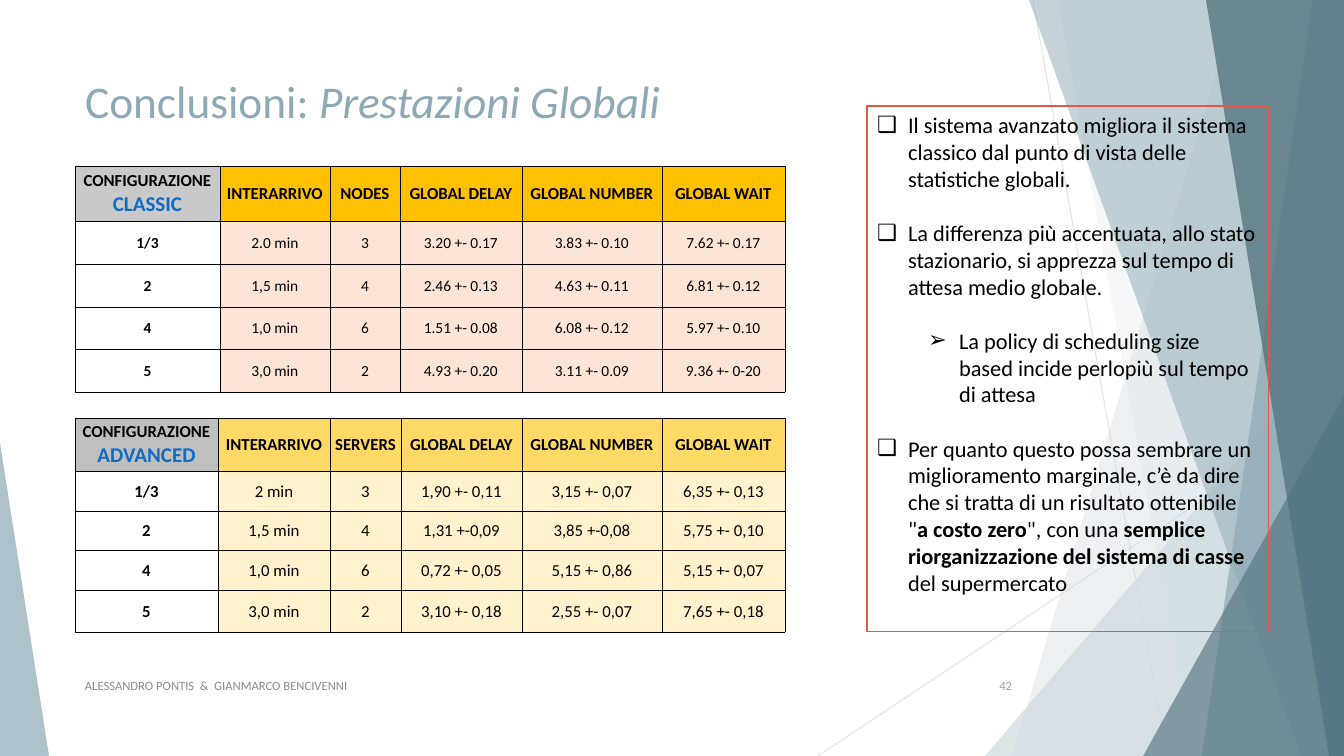
from lxml.etree import SubElement as Sub
from pptx import Presentation
from pptx.dml.color import RGBColor as RGB
from pptx.enum.shapes import MSO_CONNECTOR as Conn, MSO_SHAPE as Kind
from pptx.enum.text import MSO_ANCHOR as Anchor, MSO_AUTO_SIZE as Auto, PP_ALIGN as Align
from pptx.oxml.ns import qn
from pptx.util import Emu, Pt

SCALE = 914400 / 100.8
WIDE, HIGH = 1344, 756

BLACK = RGB(0, 0, 0)
MIST = RGB(0xCE, 0xDA, 0xDF)
STEEL = RGB(0x8D, 0xA9, 0xB5)
SLATE = RGB(0x55, 0x75, 0x82)
GREY = RGB(0x8C, 0x8C, 0x8C)
RED = RGB(0xE5, 0x57, 0x42)
BLUE = RGB(0x10, 0x6B, 0xC7)
SILVER = RGB(0xC9, 0xC9, 0xC9)
ASH = RGB(0xBF, 0xBF, 0xBF)
AMBER = RGB(0xFF, 0xC0, 0)
GOLD = RGB(0xFF, 0xD9, 0x66)
PEACH = RGB(0xFC, 0xE4, 0xD6)
CREAM = RGB(0xFF, 0xF2, 0xCC)


def px(*nums):
    return [Emu(round(n * SCALE)) for n in nums]


class Deck:
    font = "Calibri"

    def __init__(self):
        self.prs = Presentation()
        self.prs.slide_width, self.prs.slide_height = px(WIDE, HIGH)
        self.slide = self.prs.slides.add_slide(self.prs.slide_layouts[1])
        self.shapes = self.slide.shapes

    def fade(self, shape, alpha):
        """Set the opacity of the shape's colour in percent."""
        tint = shape._element.spPr.find(".//" + qn("a:srgbClr"))
        Sub(tint, qn("a:alpha"), val=str(alpha * 1000))

    def paint(self, shape, color, alpha):
        shape.shadow.inherit = False
        shape.fill.solid()
        shape.fill.fore_color.rgb = color
        shape.line.fill.background()
        self.fade(shape, alpha)

    def wedge(self, top, foot, color, alpha):
        """Fill from a slanted left edge to the right side of the slide."""
        form = self.shapes.build_freeform(top, 0, scale=SCALE)
        form.add_line_segments([(WIDE, 0), (WIDE, HIGH), (foot, HIGH)])
        self.paint(form.convert_to_shape(), color, alpha)

    def corner(self, left, top, width, tip, color, alpha):
        """Add a triangle that stands on the slide's lower edge."""
        shape = self.shapes.add_shape(Kind.ISOSCELES_TRIANGLE,
                                      *px(left, top, width, HIGH - top))
        shape.adjustments[0] = tip
        self.paint(shape, color, alpha)

    def ray(self, *ends):
        line = self.shapes.add_connector(Conn.STRAIGHT, *px(*ends))
        line.line.color.rgb = MIST
        line.line.width = Pt(0.75)
        self.fade(line, 70)
        Sub(line._element.spPr, qn("a:effectLst"))

    def words(self, para, text, size, color=BLACK, **style):
        run = para.add_run()
        run.text = text
        run.font.color.rgb = color
        for key, val in {"name": self.font, "size": Pt(size), **style}.items():
            setattr(run.font, key, val)

    def place(self, shape, area, anchor):
        """Move a text shape, bring it to the front and return its frame."""
        shape.left, shape.top, shape.width, shape.height = px(*area)
        self.shapes._spTree.append(shape._element)
        frame = shape.text_frame
        form = {"word_wrap": True, "auto_size": Auto.NONE,
                "vertical_anchor": anchor}
        for key, val in form.items():
            setattr(frame, key, val)
        return frame

    def title(self, area, *parts):
        para = self.place(self.shapes.title, area, Anchor.TOP).paragraphs[0]
        para.alignment = Align.LEFT
        for text, slant in parts:
            self.words(para, text, 32.4, STEEL, italic=slant)

    def label(self, area, text, color, align):
        box = self.shapes.add_textbox(*px(*area))
        para = self.place(box, area, Anchor.MIDDLE).paragraphs[0]
        para.alignment = align
        self.words(para, text, 9, color)

    def bullets(self, area, items):
        body = self.slide.placeholders[1]
        body.line.color.rgb = RED
        body.line.width = Pt(0.75)
        frame = self.place(body, area, Anchor.TOP)
        for num, (level, mark, parts) in enumerate(items):
            para = frame.add_paragraph() if num else frame.paragraphs[0]
            para.level = level
            para.space_before = Pt(19.5 if num else 0)
            props = para._p.get_or_add_pPr()
            dent, left = px(31, 31 + 51 * level)
            props.set("marL", str(left))
            props.set("indent", str(-dent))
            Sub(props, qn("a:buFont"), typeface="Arial")
            Sub(props, qn("a:buChar"), char=mark)
            for text, bold in parts:
                self.words(para, text, 16, bold=bold)

    def cell(self, cell, lines, fill):
        form = {"vertical_anchor": Anchor.MIDDLE, "margin_bottom": 0}
        form |= {f"margin_{side}": px(1)[0] for side in ("left", "right", "top")}
        for key, val in form.items():
            setattr(cell, key, val)
        props = cell._tc.get_or_add_tcPr()
        for side in "LRTB":
            edge = Sub(props, qn(f"a:ln{side}"), w=str(Pt(0.5)))
            Sub(Sub(edge, qn("a:solidFill")), qn("a:srgbClr"), val=str(BLACK))
        if fill is None:
            cell.fill.background()
        else:
            cell.fill.solid()
            cell.fill.fore_color.rgb = fill
        for num, (text, size, color, bold) in enumerate(lines):
            frame = cell.text_frame
            para = frame.add_paragraph() if num else frame.paragraphs[0]
            para.alignment = Align.CENTER
            self.words(para, text, size, color, bold=bold)

    def table(self, left, top, cols, rows, name, unit, data, size, fills):
        """Add a results table; fills are for corner, head and body."""
        head = ["CONFIGURAZIONE", "INTERARRIVO", unit,
                "GLOBAL DELAY", "GLOBAL NUMBER", "GLOBAL WAIT"]
        area = px(left, top, sum(cols), sum(rows))
        grid = self.shapes.add_table(len(rows), len(cols), *area).table
        grid.first_row = grid.horz_banding = False
        for col, width in zip(grid.columns, px(*cols)):
            col.width = width
        for row, height in zip(grid.rows, px(*rows)):
            row.height = height
        key, band, base = fills
        for r, row in enumerate([head] + data):
            for c, text in enumerate(row):
                lines = [(text, size if r else 12, BLACK, r == 0 or c == 0)]
                if r == c == 0:
                    lines.append((name, 15, BLUE, True))
                if r:
                    fill = base if c else None
                else:
                    fill = band if c else key
                self.cell(grid.cell(r, c), lines, fill)


CLASSIC = [
    ["1/3", "2.0 min", "3", "3.20 +- 0.17", "3.83 +- 0.10", "7.62 +- 0.17"],
    ["2", "1,5 min", "4", "2.46 +- 0.13", "4.63 +- 0.11", "6.81 +- 0.12"],
    ["4", "1,0 min", "6", "1.51 +- 0.08", "6.08 +- 0.12", "5.97 +- 0.10"],
    ["5", "3,0 min", "2", "4.93 +- 0.20", "3.11 +- 0.09", "9.36 +- 0-20"],
]
ADVANCED = [
    ["1/3", "2 min", "3", "1,90 +- 0,11", "3,15 +- 0,07", "6,35 +- 0,13"],
    ["2", "1,5 min", "4", "1,31 +-0,09", "3,85 +-0,08", "5,75 +- 0,10"],
    ["4", "1,0 min", "6", "0,72 +- 0,05", "5,15 +- 0,86", "5,15 +- 0,07"],
    ["5", "3,0 min", "2", "3,10 +- 0,18", "2,55 +- 0,07", "7,65 +- 0,18"],
]
POINTS = [
    (0, "❑", [("Il sistema avanzato migliora il sistema classico dal punto di "
               "vista delle statistiche globali.", False)]),
    (0, "❑", [("La differenza più accentuata, allo stato stazionario, si "
               "apprezza sul tempo di attesa medio globale.", False)]),
    (1, "➢", [("La policy di scheduling size based incide perlopiù sul tempo "
               "di attesa", False)]),
    (0, "❑", [("Per quanto questo possa sembrare un miglioramento marginale, "
               "c’è da dire che si tratta di un risultato ottenibile \"", False),
              ("a costo zero", True), ("\", con una ", False),
              ("semplice riorganizzazione del sistema di casse ", True),
              ("del supermercato", False)]),
]


def main():
    deck = Deck()
    deck.ray(1033, 0, 1167, HIGH)
    deck.ray(WIDE, 406, 818, HIGH)
    deck.wedge(1238, 1012, MIST, 36)
    deck.wedge(1058, 1193, MIST, 20)
    deck.corner(985, 336, 359, 1, MIST, 72)
    deck.wedge(1029, 1301, STEEL, 50)
    deck.wedge(1313, 1202, STEEL, 70)
    deck.wedge(1206, 1329, SLATE, 80)
    deck.corner(1143, 396, 201, 1, SLATE, 66)
    deck.corner(0, 443, 49, 0, STEEL, 70)
    deck.title((75, 68, 1107, 99),
               ("Conclusioni: ", False), ("Prestazioni Globali", True))
    deck.label((75, 666, 695, 40), "ALESSANDRO PONTIS  &  GIANMARCO BENCIVENNI",
               GREY, Align.LEFT)
    deck.label((947, 666, 75, 40), "42", STEEL, Align.RIGHT)
    deck.table(75, 418, [143, 112, 71, 121, 140, 123], [53, 40, 39, 40, 42],
               "ADVANCED", "SERVERS", ADVANCED, 12, (ASH, GOLD, CREAM))
    deck.table(75, 166, [145, 110, 70, 122, 140, 123], [55, 43, 43, 42, 43],
               "CLASSIC", "NODES", CLASSIC, 11, (SILVER, AMBER, PEACH))
    deck.bullets((867, 106, 402, 526), POINTS)
    deck.prs.save("out.pptx")


if __name__ == "__main__":
    main()
